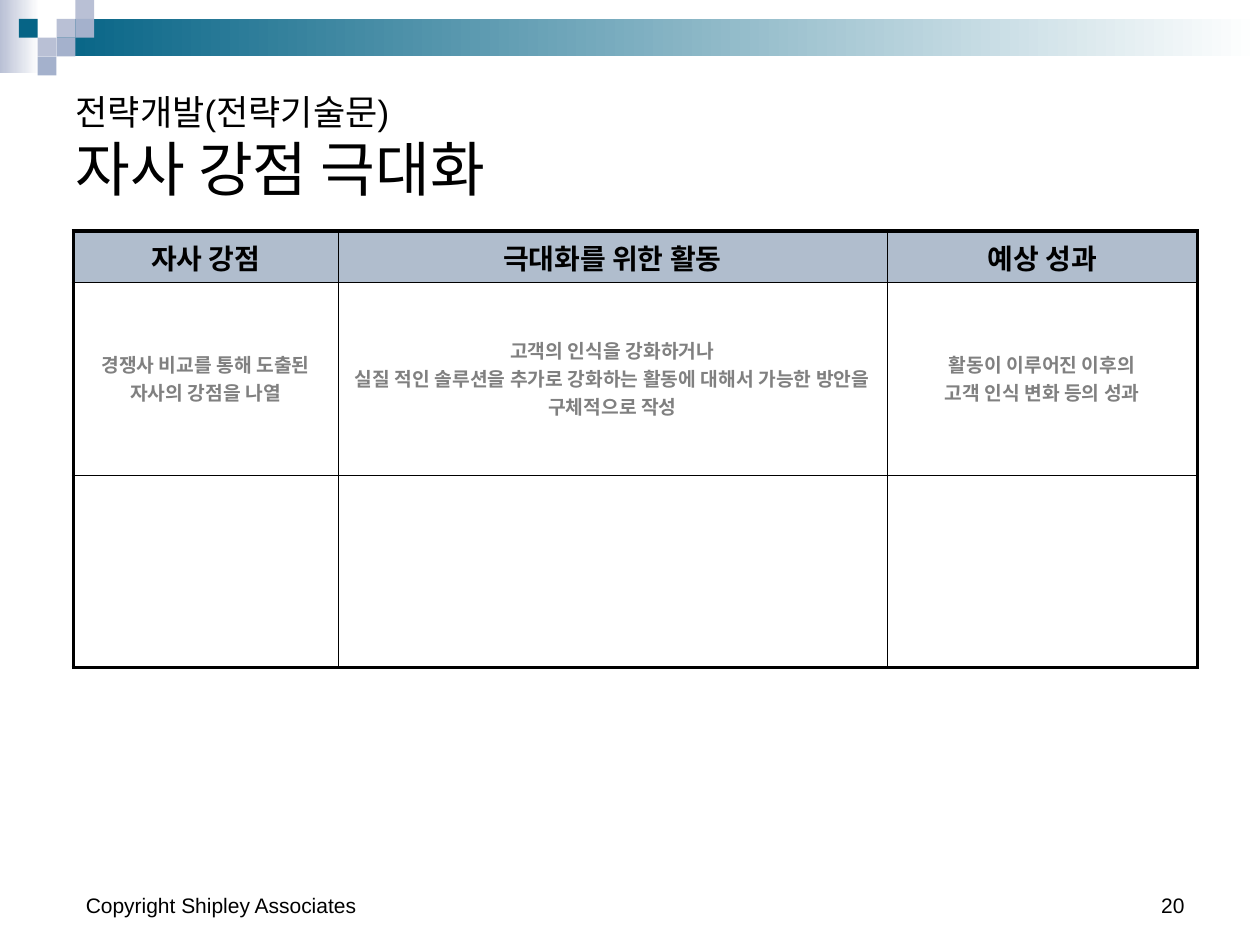
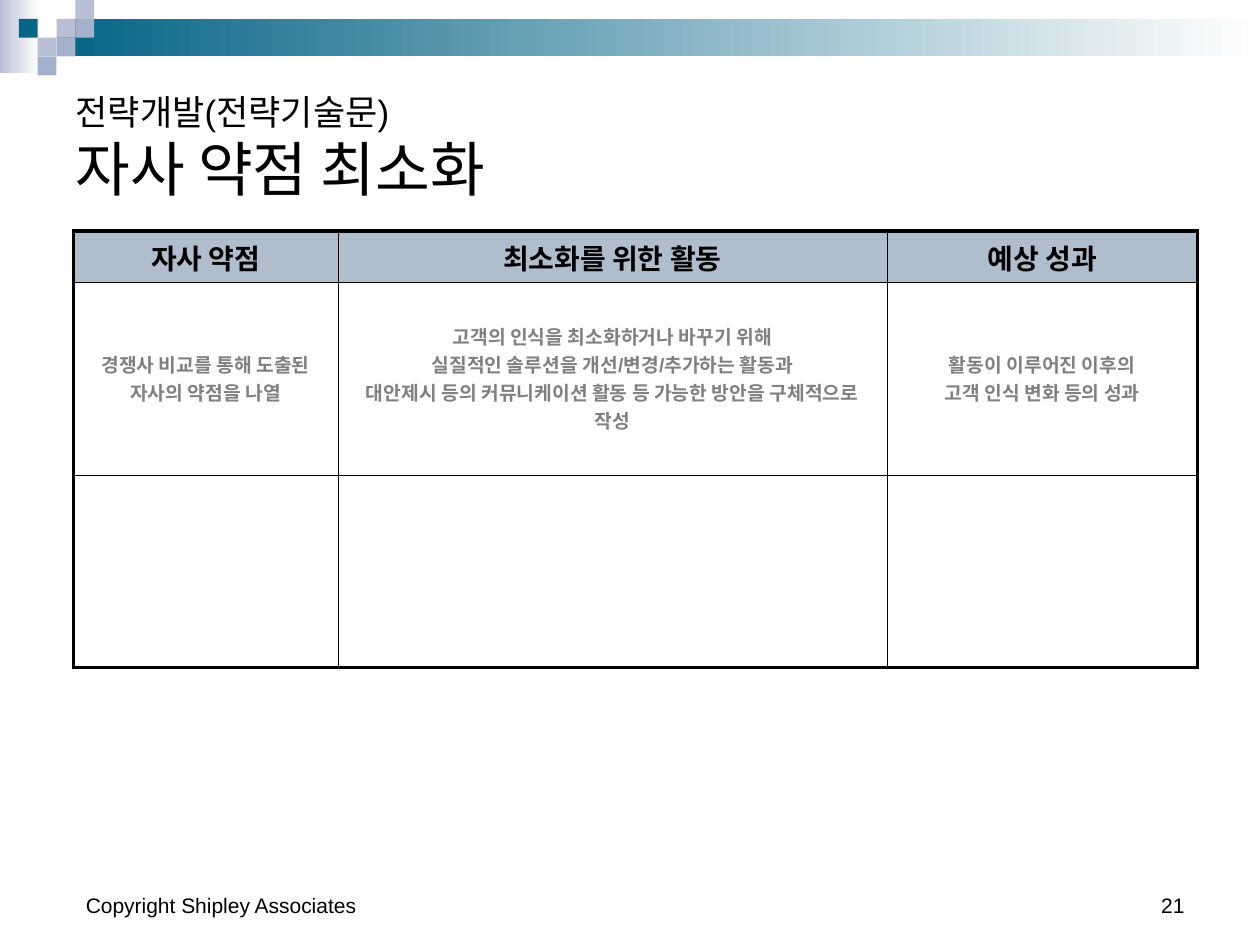
from copy import deepcopy
from dataclasses import dataclass

from lxml.etree import SubElement
from pptx import Presentation
from pptx.dml.color import RGBColor as Rgb
from pptx.enum.shapes import MSO_SHAPE as Shape
from pptx.enum.text import MSO_ANCHOR as Anchor, MSO_AUTO_SIZE as AutoSize, PP_ALIGN as Align
from pptx.oxml.ns import qn
from pptx.util import Cm, Pt


@dataclass(frozen=True)
class Theme:
    """Colours, font, type sizes and line widths shared by the slides."""
    font: str = "Arial"
    ink: str = "000000"
    hint: str = "808080"
    paper: str = "FFFFFF"
    teal: str = "066486"
    lavender: str = "B9C0D5"
    periwinkle: str = "A4B1CC"
    header: str = "B0BDCD"
    section_size: float = 20
    title_size: float = 34
    header_size: float = 16
    hint_size: float = 11
    footer_size: float = 12
    frame: float = 2.25
    rule: float = 0.25


THEME = Theme()
SECTION = "전략개발(전략기술문)"
COPYRIGHT = "Copyright Shipley Associates"
FIRST_PAGE = 20
MOSAIC_UNIT = 0.38
MOSAIC = [
    (3, 1, THEME.lavender),
    (4, 0, THEME.lavender),
    (4, 1, THEME.periwinkle),
    (2, 2, THEME.lavender),
    (1, 1, THEME.teal),
    (3, 2, THEME.periwinkle),
    (2, 3, THEME.periwinkle),
]
COLUMN_WIDTHS = [5.33, 11.07, 6.26]
ROW_HEIGHTS = [1.02, 3.89, 3.89]
OUTCOME_HINT = "활동이 이루어진 이후의\v고객 인식 변화 등의 성과"

STRATEGIES = [
    (
        "자사 강점 극대화",
        ["자사 강점", "극대화를 위한 활동", "예상 성과"],
        [
            "경쟁사 비교를 통해 도출된 자사의 강점을 나열",
            "고객의 인식을 강화하거나\n"
            "실질 적인 솔루션을 추가로 강화하는 활동에 대해서 가능한 방안을 구체적으로 작성",
            OUTCOME_HINT,
        ],
    ),
    (
        "자사 약점 최소화",
        ["자사 약점", "최소화를 위한 활동", "예상 성과"],
        [
            "경쟁사 비교를 통해 도출된 자사의 약점을 나열",
            "고객의 인식을 최소화하거나 바꾸기 위해\n"
            "실질적인 솔루션을 개선/변경/추가하는 활동과\n"
            "대안제시 등의 커뮤니케이션 활동 등 가능한 방안을 구체적으로 작성",
            OUTCOME_HINT,
        ],
    ),
]


class SlideBuilder:
    """Draws styled elements on the current slide."""

    def __init__(self, deck, theme):
        """Keep the deck and the style."""
        self.deck = deck
        self.theme = theme
        self.slide = None

    def start(self):
        """Add a title-only slide and make it current."""
        self.slide = self.deck.slides.add_slide(self.deck.slide_layouts[5])

    def style(self, paragraph, sizes, color, align=Align.LEFT, bold=False):
        """Format the runs of a paragraph, with one size for each run."""
        paragraph.alignment = align
        for run, size in zip(paragraph.runs, sizes):
            run.font.name = self.theme.font
            run.font.size = Pt(size)
            run.font.bold = bold
            run.font.color.rgb = Rgb.from_string(color)
        for line_break in paragraph._p.findall(qn("a:br")):
            line_break.append(deepcopy(paragraph.runs[0].font._element))

    def block(self, left, top, width, height, color, fade_to=None):
        """Draw a rectangle with a plain or left-to-right fading fill."""
        block = self.slide.shapes.add_shape(
            Shape.RECTANGLE, Cm(left), Cm(top), Cm(width), Cm(height))
        block.shadow.inherit = False
        block.line.fill.background()
        if fade_to is None:
            block.fill.solid()
            block.fill.fore_color.rgb = Rgb.from_string(color)
            return
        block.fill.gradient()
        block.fill.gradient_angle = 0
        for stop, tone, position in zip(block.fill.gradient_stops, (color, fade_to), (0, 1)):
            stop.color.rgb = Rgb.from_string(tone)
            stop.position = position

    def banner(self):
        """Draw the fading bands and the mosaic at the top."""
        theme, unit = self.theme, MOSAIC_UNIT
        self.block(0, 0, 0.79, 1.47, theme.lavender, theme.paper)
        self.block(3 * unit, unit, 25.4 - 3 * unit, 2 * unit, theme.teal, theme.paper)
        for column, row, color in MOSAIC:
            self.block(column * unit, row * unit, unit, unit, color)

    def title(self, section, heading):
        """Fill the title placeholder with section and heading."""
        title = self.slide.shapes.title
        title.left, title.top, title.width, title.height = Cm(1.27), Cm(1.27), Cm(22.86), Cm(2.96)
        frame = title.text_frame
        frame.text = f"{section}\v{heading}"
        frame.auto_size = AutoSize.NONE
        frame.vertical_anchor = Anchor.BOTTOM
        self.style(frame.paragraphs[0], [self.theme.section_size, self.theme.title_size],
                   self.theme.ink)

    def footer(self, text, left, width, align):
        """Write one footer entry."""
        entry = self.slide.shapes.add_textbox(Cm(left), Cm(17.36), Cm(width), Cm(1.27))
        frame = entry.text_frame
        frame.word_wrap = True
        frame.vertical_anchor = Anchor.BOTTOM
        frame.text = text
        self.style(frame.paragraphs[0], [self.theme.footer_size], self.theme.ink, align)

    def borders(self, cell, sides):
        """Set the line width of each cell side."""
        for side, width in sides.items():
            line = SubElement(cell._tc.get_or_add_tcPr(), qn(f"a:ln{side}"), w=str(Pt(width)))
            fill = SubElement(line, qn("a:solidFill"))
            SubElement(fill, qn("a:srgbClr"), val=self.theme.ink)

    def worksheet(self, headings, hints):
        """Draw the framed table of headings, hints and an empty row."""
        theme = self.theme
        rows = [headings, hints, [""] * len(headings)]
        last_row, last_column = len(rows) - 1, len(headings) - 1
        table = self.slide.shapes.add_table(
            len(rows), len(headings), Cm(1.48), Cm(4.66),
            Cm(sum(COLUMN_WIDTHS)), Cm(sum(ROW_HEIGHTS))).table
        table.first_row = table.horz_banding = False
        for column, width in zip(table.columns, COLUMN_WIDTHS):
            column.width = Cm(width)
        for row, height in zip(table.rows, ROW_HEIGHTS):
            row.height = Cm(height)
        for r, texts in enumerate(rows):
            size, color, fill = (
                (theme.header_size, theme.ink, theme.header) if r == 0
                else (theme.hint_size, theme.hint, theme.paper))
            for c, text in enumerate(texts):
                cell = table.cell(r, c)
                outer = {"L": c == 0, "R": c == last_column, "T": r == 0, "B": r == last_row}
                self.borders(cell, {side: theme.frame if edge else theme.rule
                                    for side, edge in outer.items()})
                cell.fill.solid()
                cell.fill.fore_color.rgb = Rgb.from_string(fill)
                cell.vertical_anchor = Anchor.MIDDLE
                cell.text_frame.text = text
                for paragraph in cell.text_frame.paragraphs:
                    self.style(paragraph, [size] * len(paragraph.runs), color,
                               Align.CENTER, bold=True)


def main():
    """Build and save the strategy worksheets."""
    deck = Presentation()
    deck.slide_width, deck.slide_height = Cm(25.4), Cm(19.05)
    builder = SlideBuilder(deck, THEME)
    for page, (heading, headings, hints) in enumerate(STRATEGIES, FIRST_PAGE):
        builder.start()
        builder.banner()
        builder.footer(str(page), 18.21, 5.92, Align.RIGHT)
        builder.footer(COPYRIGHT, 1.48, 8.05, Align.LEFT)
        builder.title(SECTION, heading)
        builder.worksheet(headings, hints)
    deck.save("out.pptx")


if __name__ == "__main__":
    main()
